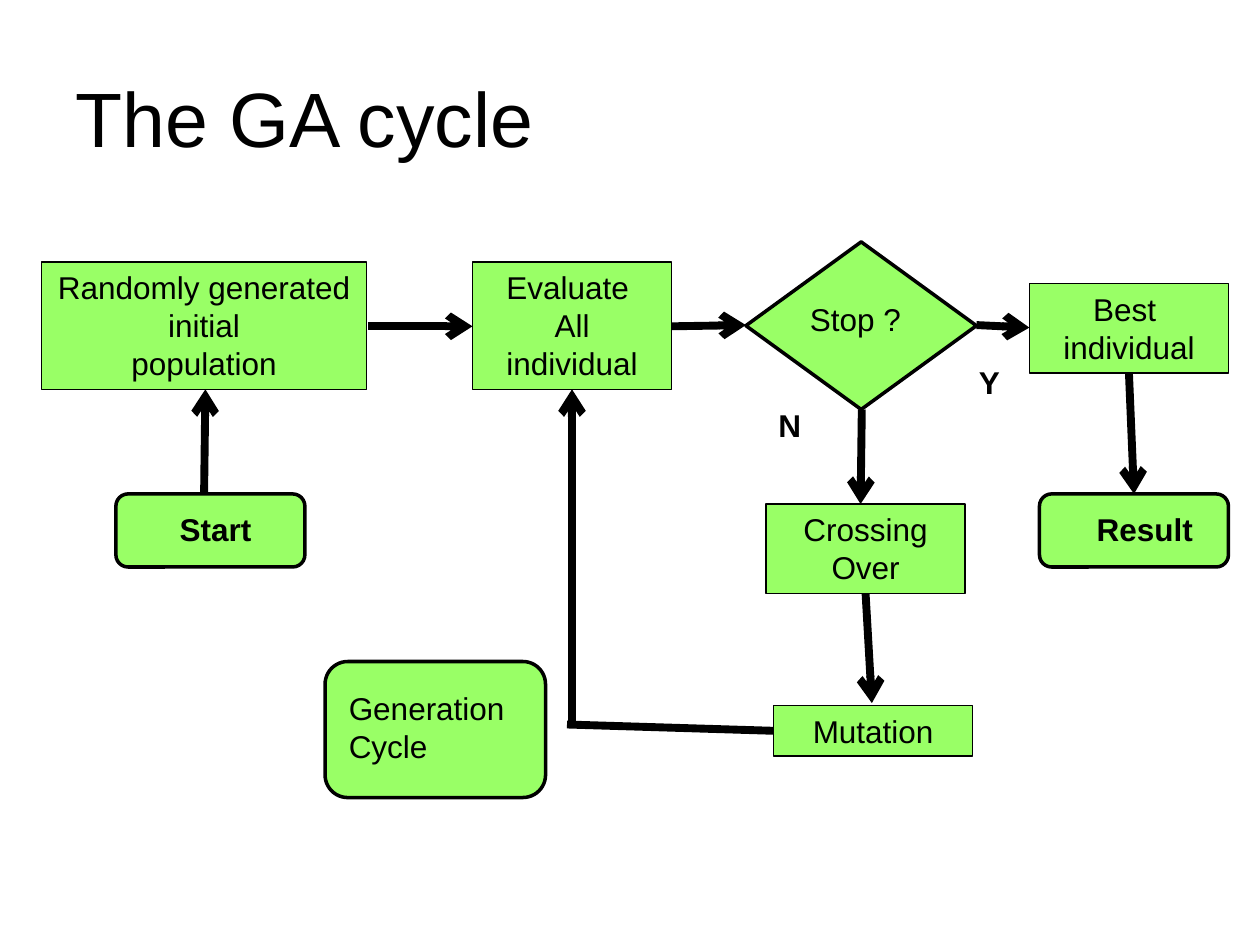
from lxml import etree
from pptx import Presentation
from pptx.dml.color import RGBColor
from pptx.enum import shapes, text
from pptx.oxml.ns import qn
from pptx.util import Inches, Pt

GREEN = RGBColor(0x99, 0xFF, 0x66)
BLACK = RGBColor(0, 0, 0)
LEFT, CENTER = text.PP_ALIGN.LEFT, text.PP_ALIGN.CENTER
SHAPE = shapes.MSO_SHAPE

prs = Presentation()
prs.slide_width, prs.slide_height = Inches(10), Inches(7.5)
s = prs.slides.add_slide(prs.slide_layouts[6])


def write(sp, lines, size=18, bold=False, align=CENTER, anchor=text.MSO_ANCHOR.TOP):
    tf = sp.text_frame
    tf.word_wrap = True
    tf.vertical_anchor = anchor
    tf.text = lines
    for p in tf.paragraphs:
        p.alignment = align
        p.font.name = "Arial"
        p.font.size = Pt(size)
        p.font.bold = bold
        p.font.color.rgb = BLACK


def add_box(kind, bounds, line_width):
    sp = s.shapes.add_shape(kind, *map(Inches, bounds))
    sp.shadow.inherit = False
    sp.fill.solid()
    sp.fill.fore_color.rgb = GREEN
    sp.line.color.rgb = BLACK
    sp.line.width = Pt(line_width)
    return sp


title = s.shapes.add_textbox(Inches(0.5), Inches(0.3), Inches(9), Inches(1.25))
write(title, "The GA cycle", size=44, align=LEFT, anchor=text.MSO_ANCHOR.MIDDLE)

# Process steps
for bounds, lines in [
    ((0.33, 2.08, 2.58, 1.01), "Randomly generated  initial \npopulation"),
    ((3.75, 2.08, 1.58, 1.01), "Evaluate \nAll\nindividual"),
    ((8.17, 2.25, 1.58, 0.71), "Best \nindividual"),
    ((6.08, 4, 1.58, 0.71), "Crossing Over"),
    ((6.14, 5.6, 1.58, 0.4), "Mutation"),
]:
    write(add_box(SHAPE.RECTANGLE, bounds, 0.75), lines)

# Terminals, decision and cycle frame
for kind, bounds in [
    (SHAPE.FLOWCHART_ALTERNATE_PROCESS, (0.92, 3.92, 1.5, 0.58)),
    (SHAPE.FLOWCHART_ALTERNATE_PROCESS, (8.25, 3.92, 1.5, 0.58)),
    (SHAPE.FLOWCHART_DECISION, (5.92, 1.92, 1.83, 1.33)),
    (SHAPE.ROUNDED_RECTANGLE, (2.58, 5.25, 1.75, 1.08)),
]:
    add_box(kind, bounds, 2)

# Flow lines
for start, end, has_head in [
    ((1.62, 3.92), (1.63, 3.09), True),
    ((2.92, 2.59), (3.75, 2.59), True),
    ((5.33, 2.59), (5.92, 2.58), True),
    ((7.75, 2.58), (8.17, 2.6), True),
    ((6.84, 3.25), (6.83, 4), True),
    ((6.87, 4.71), (6.92, 5.58), True),
    ((8.96, 2.96), (9, 3.92), True),
    ((6.14, 5.8), (4.5, 5.75), False),
    ((4.54, 5.75), (4.54, 3.09), True),
]:
    flow = s.shapes.add_connector(
        shapes.MSO_CONNECTOR.STRAIGHT, *map(Inches, start + end))
    flow.line.color.rgb = BLACK
    flow.line.width = Pt(4.5)
    if has_head:
        etree.SubElement(flow.line._get_or_add_ln(), qn("a:tailEnd"), type="arrow")
    etree.SubElement(flow._element.spPr, qn("a:effectLst"))

# Labels
for bounds, label, bold, align in [
    ((6.33, 2.33, 1, 0.42), "Stop ?", False, LEFT),
    ((2.67, 5.42, 1.5, 0.71), "Generation Cycle", False, LEFT),
    ((7.67, 2.83, 0.33, 0.4), "Y", True, LEFT),
    ((6.08, 3.17, 0.42, 0.4), "N", True, LEFT),
    ((1.17, 4, 1.08, 0.42), "Start", True, CENTER),
    ((8.5, 4, 1.17, 0.42), "Result", True, CENTER),
]:
    write(s.shapes.add_textbox(*map(Inches, bounds)), label, bold=bold, align=align)

prs.save("out.pptx")
